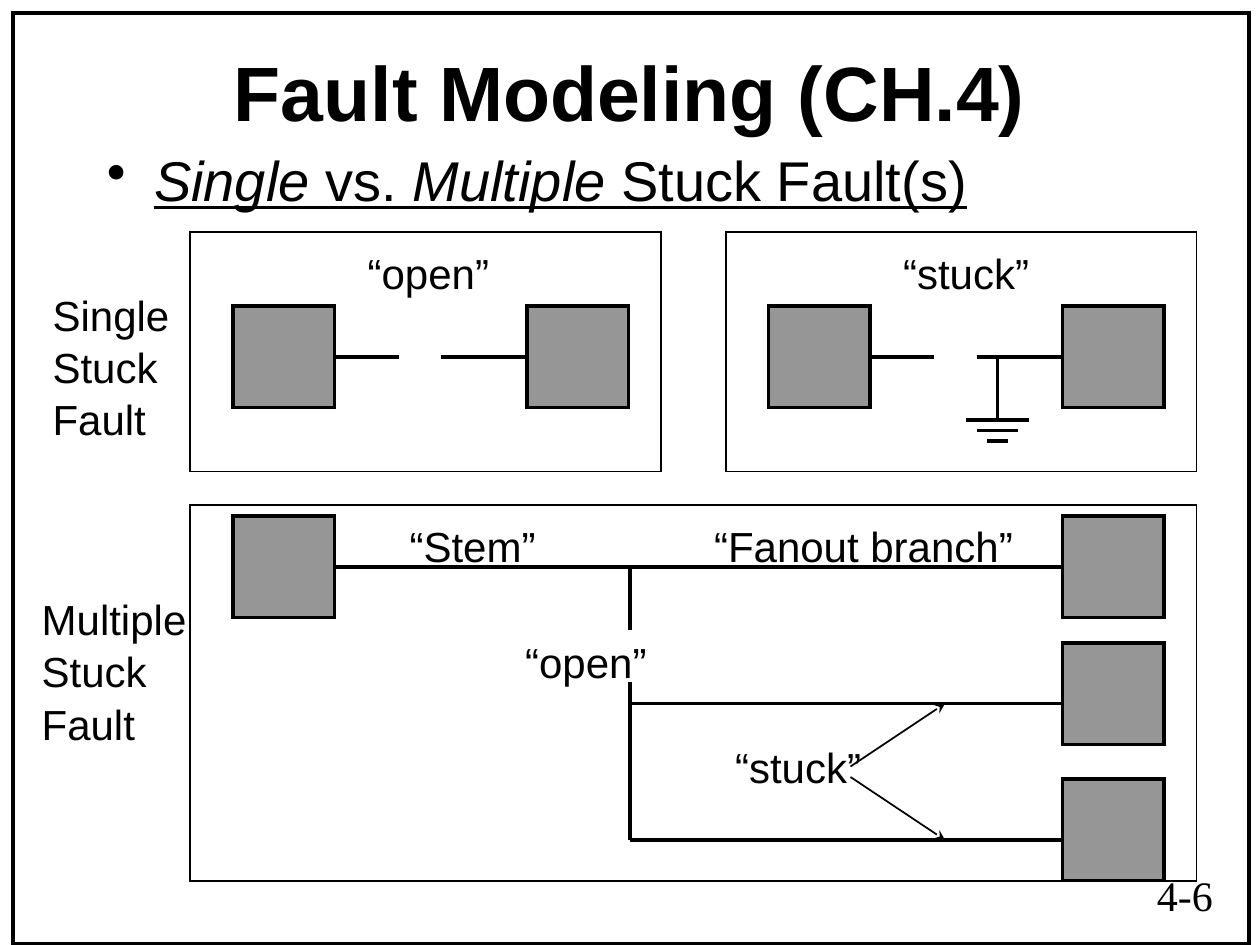
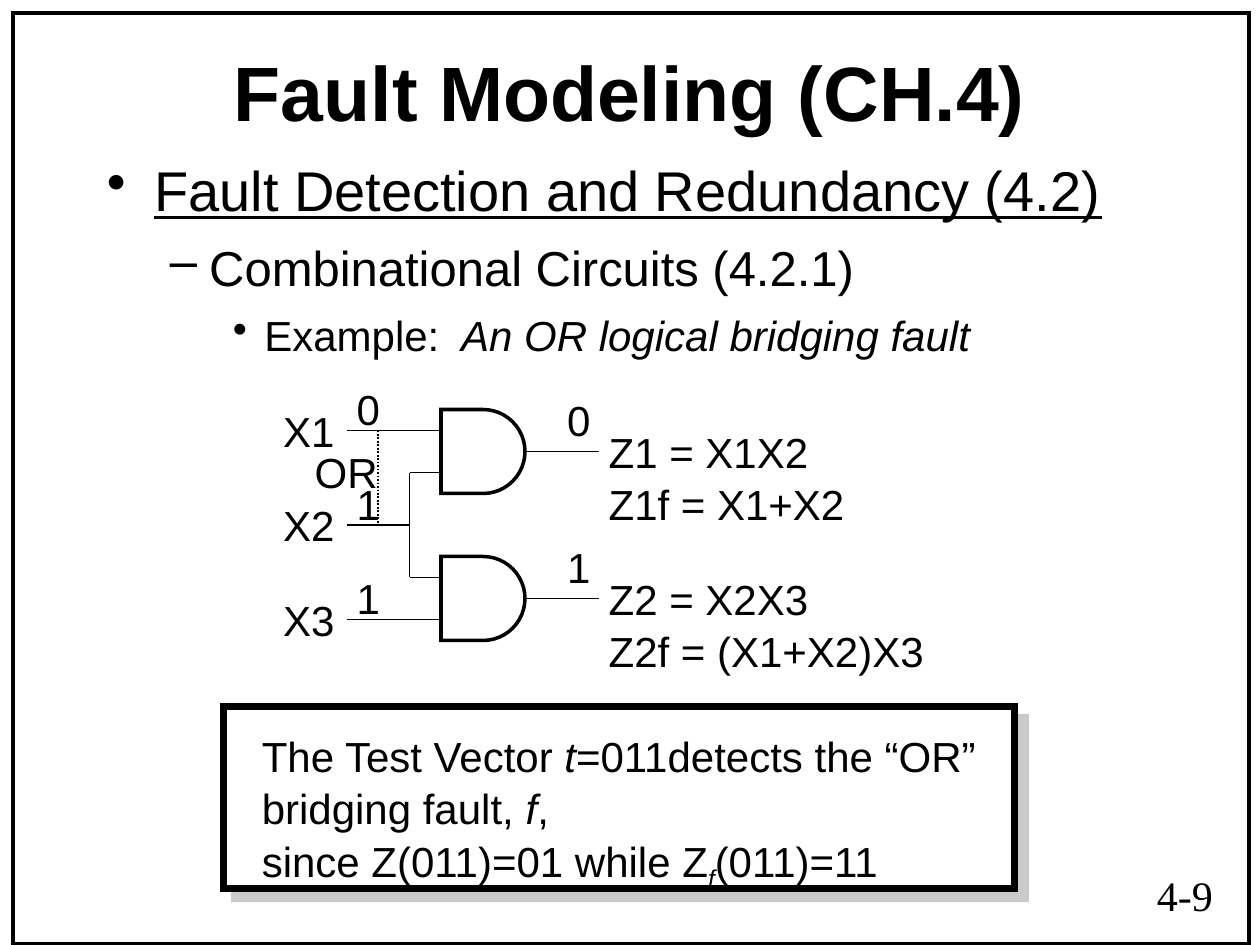
from dataclasses import dataclass

from pptx import Presentation
from pptx.dml.color import RGBColor
from pptx.enum import dml, shapes, text
from pptx.oxml import parse_xml
from pptx.oxml.ns import nsdecls, qn
from pptx.slide import Slide
from pptx.util import Pt

BLACK, WHITE, GRAY = "000000", "FFFFFF", "969696"
SANS, SERIF = "Arial", "Times New Roman"
TITLE = "Fault Modeling (CH.4)"
LINE_SPACING = 1.04
LINE_HEIGHT = 28.8
INSETS = {"margin_left": 7.2, "margin_right": 7.2, "margin_top": 3.6, "margin_bottom": 3.6}
BLOCK = 58
RECTANGLE = shapes.MSO_SHAPE.RECTANGLE


@dataclass(frozen=True)
class Run:
    text: str
    italic: bool = False
    underline: bool = False
    subscript: bool = False


@dataclass(frozen=True)
class Bullet:
    runs: tuple[Run, ...]
    level: int = 0


@dataclass(frozen=True)
class BulletStyle:
    mark: str
    size: float
    before: float
    left: float
    hanging: float


@dataclass(frozen=True)
class Label:
    """Text box; each line is a string or a tuple of runs."""
    left: float
    top: float
    width: float
    lines: tuple
    font: str = SANS


@dataclass(frozen=True)
class Wire:
    x1: float
    y1: float
    x2: float
    y2: float
    weight: float = 2
    arrow: bool = False
    dotted: bool = False


@dataclass(frozen=True)
class Box:
    left: float
    top: float
    width: float
    height: float
    weight: float = 1
    fill: str | None = None
    preset: shapes.MSO_SHAPE = RECTANGLE


BULLET_STYLES = (
    BulletStyle("•", 32, 8, 27, 27),
    BulletStyle("–", 28, 7, 58.5, 22.5),
    BulletStyle("•", 24, 6, 90, 18),
)


def color(value: str) -> RGBColor:
    return RGBColor.from_string(value)


def draw_box(slide: Slide, box: Box):
    shape = slide.shapes.add_shape(
        box.preset, Pt(box.left), Pt(box.top), Pt(box.width), Pt(box.height))
    shape.shadow.inherit = False
    if box.fill:
        shape.fill.solid()
        shape.fill.fore_color.rgb = color(box.fill)
    else:
        shape.fill.background()
    shape.line.color.rgb = color(BLACK)
    shape.line.width = Pt(box.weight)
    shape._element.spPr.find(qn("a:ln")).append(
        parse_xml(f'<a:miter {nsdecls("a")} lim="800000"/>'))
    return shape


def draw_wire(slide: Slide, wire: Wire) -> None:
    connector = slide.shapes.add_connector(
        shapes.MSO_CONNECTOR.STRAIGHT, Pt(wire.x1), Pt(wire.y1), Pt(wire.x2), Pt(wire.y2))
    line = connector.line
    line.color.rgb = color(BLACK)
    line.width = Pt(wire.weight)
    if wire.dotted:
        line.dash_style = dml.MSO_LINE.ROUND_DOT
    properties = connector._element.spPr
    if wire.arrow:
        properties.find(qn("a:ln")).append(
            parse_xml(f'<a:tailEnd {nsdecls("a")} type="stealth"/>'))
    properties.append(parse_xml(f'<a:effectLst {nsdecls("a")}/>'))


def set_insets(frame) -> None:
    for name, value in INSETS.items():
        setattr(frame, name, Pt(value))


def write_runs(paragraph, runs: tuple[Run, ...], size: float, font: str = SANS,
               bold: bool = False) -> None:
    paragraph.line_spacing = LINE_SPACING
    for part in runs:
        run = paragraph.add_run()
        run.text = part.text
        look = {"name": font, "size": Pt(size), "bold": bold,
                "italic": part.italic, "underline": part.underline}
        for name, value in look.items():
            setattr(run.font, name, value)
        run.font.color.rgb = color(BLACK)
        if part.subscript:
            run._r.get_or_add_rPr().set("baseline", "-25000")


def paragraph_at(frame, index: int):
    return frame.add_paragraph() if index else frame.paragraphs[0]


def draw_label(slide: Slide, label: Label) -> None:
    height = LINE_HEIGHT * len(label.lines) + 7.2
    frame = slide.shapes.add_textbox(
        Pt(label.left), Pt(label.top), Pt(label.width), Pt(height)).text_frame
    set_insets(frame)
    frame.word_wrap = False
    frame.auto_size = text.MSO_AUTO_SIZE.SHAPE_TO_FIT_TEXT
    for index, line in enumerate(label.lines):
        runs = (Run(line),) if isinstance(line, str) else line
        write_runs(paragraph_at(frame, index), runs, 24, label.font)


def draw_bullets(slide: Slide, top: float, height: float, bullets: tuple[Bullet, ...]) -> None:
    frame = slide.shapes.add_textbox(Pt(54), Pt(top), Pt(612), Pt(height)).text_frame
    set_insets(frame)
    frame.word_wrap = True
    for index, bullet in enumerate(bullets):
        style = BULLET_STYLES[bullet.level]
        paragraph = paragraph_at(frame, index)
        paragraph.level = bullet.level
        properties = paragraph._p.get_or_add_pPr()
        properties.set("marL", str(Pt(style.left)))
        properties.set("indent", str(-Pt(style.hanging)))
        for xml in (f'<a:buClr {nsdecls("a")}><a:srgbClr val="{BLACK}"/></a:buClr>',
                    f'<a:buChar {nsdecls("a")} char="{style.mark}"/>'):
            properties.append(parse_xml(xml))
        paragraph.space_before = Pt(style.before if index else 0)
        write_runs(paragraph, bullet.runs, style.size)


def start_slide(deck, number: str) -> Slide:
    """Add a slide with the frame, title and page number that all slides share."""
    slide = deck.slides.add_slide(deck.slide_layouts[5])
    draw_box(slide, Box(7.2, 7.2, 706.3, 532, weight=2.25))
    title = slide.shapes.title
    for name, value in {"left": 54, "top": 24, "width": 612, "height": 54}.items():
        setattr(title, name, Pt(value))
    frame = title.text_frame
    set_insets(frame)
    frame.auto_size = text.MSO_AUTO_SIZE.NONE
    frame.vertical_anchor = text.MSO_ANCHOR.MIDDLE
    heading = frame.paragraphs[0]
    heading.alignment = text.PP_ALIGN.CENTER
    write_runs(heading, (Run(TITLE),), 44, bold=True)
    draw_label(slide, Label(654, 492, 48, (number,), SERIF))
    return slide


def draw_block(slide: Slide, left: float, middle: float) -> None:
    draw_box(slide, Box(left, middle - BLOCK / 2, BLOCK, BLOCK, 2, GRAY))


def draw_single_fault(slide: Slide, left: float, name: str, width: float) -> None:
    """Panel with two blocks and a broken wire between them."""
    middle = 204
    for offset in (24.5, 192.5):
        draw_block(slide, left + offset, middle)
    for start, end in ((83.25, 119.25), (143.25, 192)):
        draw_wire(slide, Wire(left + start, middle, left + end, middle))
    draw_label(slide, Label(left + 94.25, 137, width, (name,)))
    draw_box(slide, Box(left, 132.5, 269, 137))


def build_stuck_faults(deck) -> None:
    slide = start_slide(deck, "4-6")
    draw_bullets(slide, 78, 54, (Bullet((
        Run("Single", True, True), Run(" vs. ", underline=True),
        Run("Multiple", True, True), Run(" Stuck Fault(s)", underline=True))),))

    draw_single_fault(slide, 108.75, "“open”", 84)
    draw_single_fault(slide, 414.75, "“stuck”", 86.5)
    ground_x = 570
    draw_wire(slide, Wire(ground_x, 204, ground_x, 240))
    for step, half in enumerate((18, 12, 6)):
        y = 240 + 6 * step
        draw_wire(slide, Wire(ground_x - half, y, ground_x + half, y))

    stem_y, fanout_x, branch_end = 324, 360, 607
    stuck_branches = (402, 480)
    draw_block(slide, 133.25, stem_y)
    for middle in (stem_y, 396.5, 474.25):
        draw_block(slide, 607.25, middle)
    draw_wire(slide, Wire(192, stem_y, branch_end, stem_y))
    draw_wire(slide, Wire(fanout_x, stem_y, fanout_x, 360))
    draw_wire(slide, Wire(fanout_x, 390, fanout_x, 480))
    for branch_y, arrow_y in zip(stuck_branches, (438, 444)):
        draw_wire(slide, Wire(fanout_x, branch_y, branch_end, branch_y))
        draw_wire(slide, Wire(486, arrow_y, 540, branch_y, 1, arrow=True))
    draw_box(slide, Box(108.75, 288.5, 575, 215))

    for label in (
        Label(23, 160.5, 81, ("Single", "Stuck", "Fault")),
        Label(16.75, 334.5, 97, ("Multiple", "Stuck", "Fault")),
        Label(227, 293, 86.5, ("“Stem”",)),
        Label(401, 293, 185, ("“Fanout branch”",)),
        Label(293, 359, 84, ("“open”",)),
        Label(413, 419, 86.5, ("“stuck”",)),
    ):
        draw_label(slide, label)


def draw_and_gate(slide: Slide, top: float, output: str, width: float,
                  equations: tuple[str, str]) -> None:
    gate_x, size = 252, 48
    draw_box(slide, Box(gate_x, top, size, size, 2, preset=shapes.MSO_SHAPE.FLOWCHART_DELAY))
    for y in (top + 12, top + 36):
        draw_wire(slide, Wire(234, y, gate_x, y, 1))
    draw_wire(slide, Wire(gate_x + size, top + 24, 342, top + 24, 1))
    draw_label(slide, Label(317, top - 13, 28, (output,)))
    draw_label(slide, Label(340.75, top + 5, width, equations))


def build_bridging_fault(deck) -> None:
    slide = start_slide(deck, "4-9")
    draw_bullets(slide, 84, 126, (
        Bullet((Run("Fault Detection and Redundancy (4.2)", underline=True),)),
        Bullet((Run("Combinational Circuits (4.2.1)"),), 1),
        Bullet((Run("Example: "), Run(" An OR logical bridging fault", True)), 2),
    ))

    draw_and_gate(slide, 234, "0", 149, ("Z1 = X1X2", "Z1f = X1+X2"))
    draw_and_gate(slide, 318, "1", 194.5, ("Z2 = X2X3", "Z2f = (X1+X2)X3"))
    for index, value in enumerate("011"):
        y = 246 + 54 * index
        draw_wire(slide, Wire(198, y, 234, y, 1))
        draw_label(slide, Label(154.75, y - 19, 44, (f"X{index + 1}",)))
        draw_label(slide, Label(196.75, y - 31.25, 28, (value,)))
    draw_wire(slide, Wire(234, 270, 234, 330, 1))
    draw_wire(slide, Wire(216, 246, 216, 300, 1, dotted=True))
    draw_label(slide, Label(172.75, 250.75, 50.5, ("OR",)))

    conclusion = draw_box(slide, Box(128, 404, 452, 103.5, 4, WHITE))
    conclusion._element.spPr.find(qn("a:effectLst")).append(parse_xml(
        f'<a:outerShdw {nsdecls("a")} dist="{Pt(8.5)}" dir="2700000" algn="ctr" '
        f'rotWithShape="0"><a:srgbClr val="{GRAY}"><a:alpha val="50000"/></a:srgbClr>'
        '</a:outerShdw>'))
    draw_label(slide, Label(142.5, 412.5, 435.5, (
        (Run("The Test Vector "), Run("t", True), Run("=011detects the “OR”")),
        (Run("bridging fault, "), Run("f", True), Run(",")),
        (Run("since Z(011)=01 while Z"), Run("f", True, subscript=True), Run("(011)=11")),
    )))


def main() -> None:
    deck = Presentation()
    deck.slide_width, deck.slide_height = Pt(720), Pt(540)
    build_stuck_faults(deck)
    build_bridging_fault(deck)
    deck.save("out.pptx")


if __name__ == "__main__":
    main()
